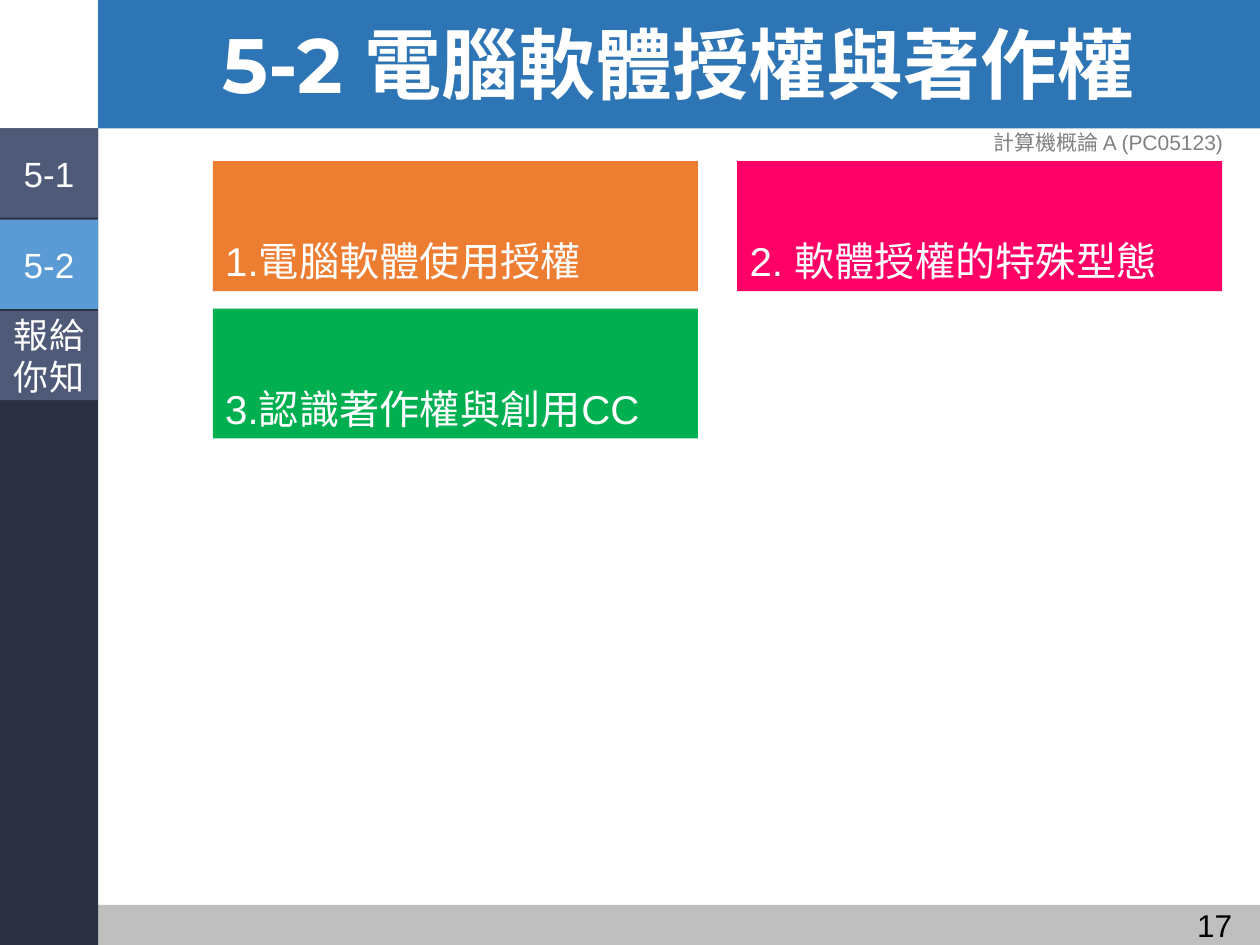
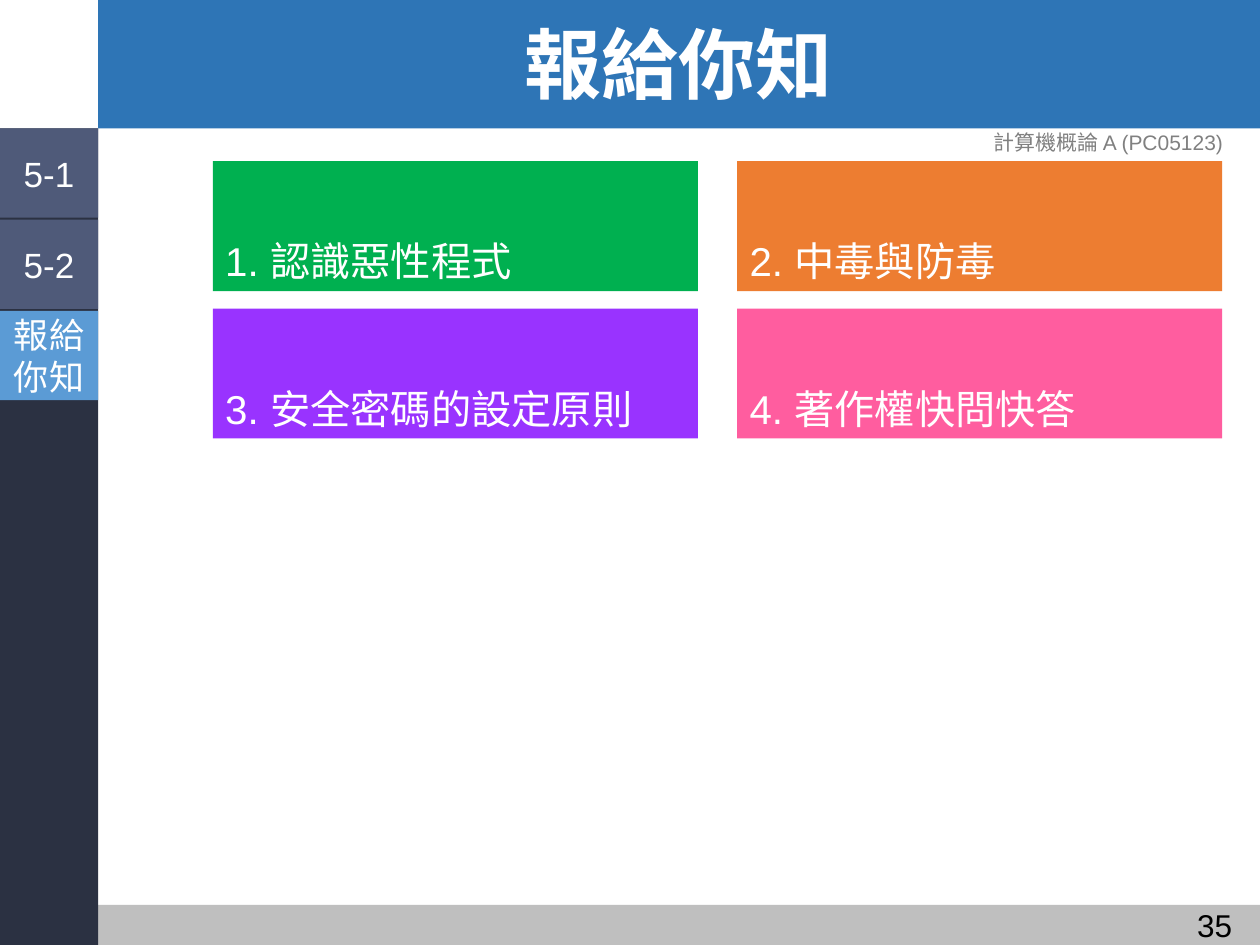
"""Build the two section menu slides of a computing course."""
import dataclasses
import pptx
import pptx.util
import pptx.dml.color
import pptx.enum.shapes
import pptx.enum.text

Cm = pptx.util.Cm
Align = pptx.enum.text.PP_ALIGN
Anchor = pptx.enum.text.MSO_ANCHOR

COURSE = "計算機概論 A (PC05123)"
TABS = ["5-1", "5-2", "報給\n你知"]
MENUS = [
    {"title": "5-2 電腦軟體授權與著作權", "page": "17", "tab": 1, "cards": [
        ("1.電腦軟體使用授權", "orange"),
        ("2. 軟體授權的特殊型態", "red"),
        ("3.認識著作權與創用CC", "green")]},
    {"title": "報給你知", "page": "35", "tab": 2, "cards": [
        ("1. 認識惡性程式", "green"),
        ("2. 中毒與防毒", "orange"),
        ("3. 安全密碼的設定原則", "purple"),
        ("4. 著作權快問快答", "pink")]},
]


@dataclasses.dataclass(frozen=True)
class Theme:
    head: str = "2E75B6"
    foot: str = "BFBFBF"
    side: str = "2B3142"
    tab: str = "4F5A79"
    live: str = "5B9BD5"
    white: str = "FFFFFF"
    black: str = "000000"
    gray: str = "808080"
    orange: str = "ED7D31"
    red: str = "FF0066"
    green: str = "00B050"
    purple: str = "9933FF"
    pink: str = "FF5D9F"
    font: str = "Arial"
    bold: str = "Montserrat"
    title: int = 44
    card: int = 23
    label: int = 20
    page: int = 18
    note: int = 12


THEME = Theme()
WIDE, HIGH = 25.4, 19.05
SIDE, HEAD, FOOT = 1.98, 2.59, 0.81
BODY = WIDE - SIDE
TAB_H, TAB_STEP = 1.8, 1.84
CARD_X, CARD_Y, CARD_W, CARD_H = 4.29, 3.25, 9.78, 2.62
STEP_X, STEP_Y = 10.57, 2.97


def color(code):
    return pptx.dml.color.RGBColor.from_string(code)


def write(shape, text, size, tint=THEME.white, align=Align.CENTER,
          anchor=Anchor.MIDDLE, name=THEME.font):
    frame = shape.text_frame
    frame.text = text
    frame.word_wrap = True
    frame.vertical_anchor = anchor
    for para in frame.paragraphs:
        para.alignment = align
        for run in para.runs:
            run.font.name = name
            run.font.size = pptx.util.Pt(size)
            run.font.color.rgb = color(tint)
    return frame


def block(slide, box, fill):
    kind = pptx.enum.shapes.MSO_SHAPE.RECTANGLE
    shape = slide.shapes.add_shape(kind, *map(Cm, box))
    shape.shadow.inherit = False
    shape.fill.solid()
    shape.fill.fore_color.rgb = color(fill)
    shape.line.fill.background()
    return shape


def label(slide, box, *args, **style):
    return write(slide.shapes.add_textbox(*map(Cm, box)), *args, **style)


def add_base(slide, title, page):
    block(slide, (SIDE, 0, BODY, HEAD), THEME.head)
    block(slide, (SIDE, HIGH - FOOT, BODY, FOOT), THEME.foot)
    block(slide, (0, HEAD, SIDE, HIGH - HEAD), THEME.side)
    frame = label(slide, (SIDE, 0.08, BODY, HEAD), title, THEME.title,
                  name=THEME.bold)
    para = frame.paragraphs[0]
    para.line_spacing = 0.9
    para.runs[0].font.bold = True
    label(slide, (22.4, 18.14, 2.69, 1.02), page, THEME.page, THEME.black,
          align=Align.RIGHT, anchor=Anchor.TOP)
    label(slide, (19.28, 2.36, 6.12, 1.02), COURSE, THEME.note, THEME.gray)


def add_cards(slide, cards):
    for i, (text, fill) in enumerate(cards):
        row, col = divmod(i, 2)
        box = (CARD_X + col * STEP_X, CARD_Y + row * STEP_Y, CARD_W, CARD_H)
        card = block(slide, box, getattr(THEME, fill))
        write(card, text, THEME.card, align=Align.LEFT, anchor=Anchor.BOTTOM)


def add_tabs(slide, live):
    for i, text in enumerate(TABS):
        fill = THEME.live if i == live else THEME.tab
        tab = block(slide, (0, HEAD + i * TAB_STEP, SIDE, TAB_H), fill)
        frame = write(tab, text, THEME.label)
        frame.word_wrap = False
        frame.margin_left = frame.margin_right = Cm(0.1)
        frame.margin_top = frame.margin_bottom = Cm(0.1)


def main():
    deck = pptx.Presentation()
    deck.slide_width, deck.slide_height = Cm(WIDE), Cm(HIGH)
    for menu in MENUS:
        slide = deck.slides.add_slide(deck.slide_layouts[6])
        add_base(slide, menu["title"], menu["page"])
        add_cards(slide, menu["cards"])
        add_tabs(slide, menu["tab"])
    deck.save("out.pptx")


if __name__ == "__main__":
    main()
